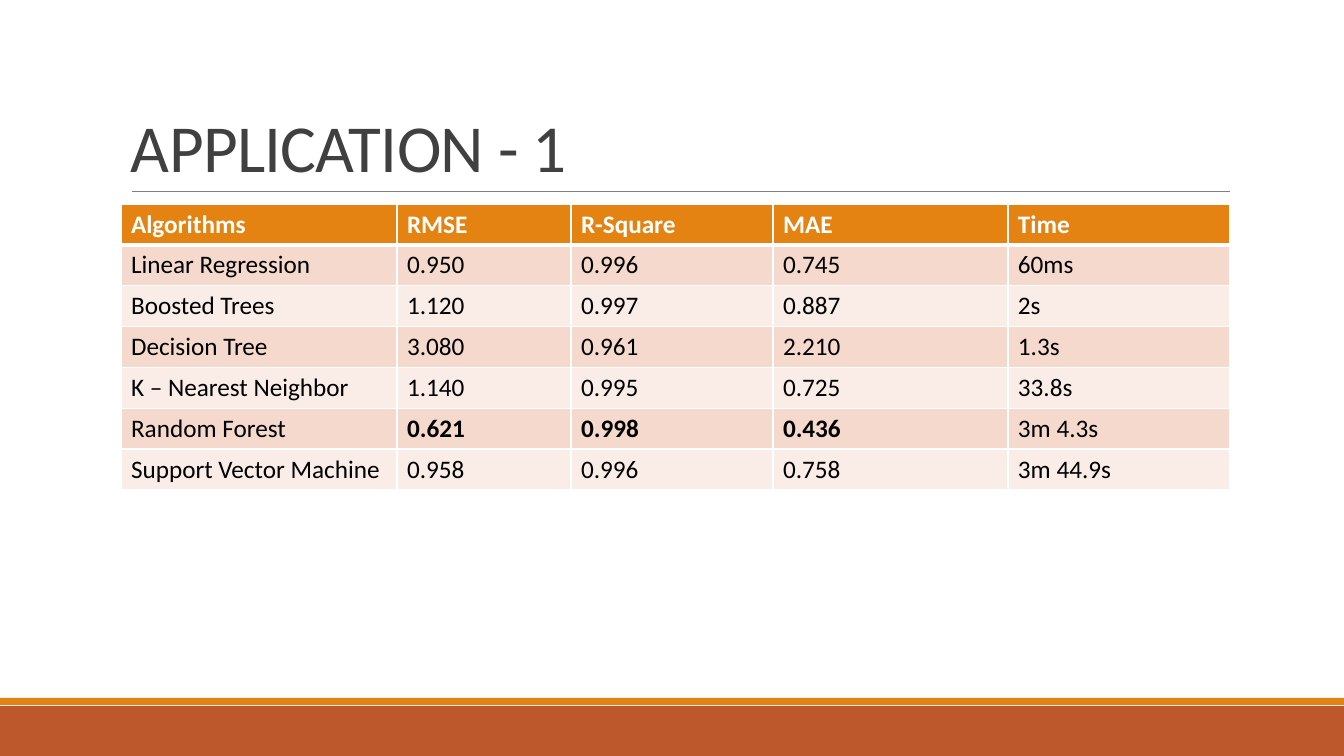
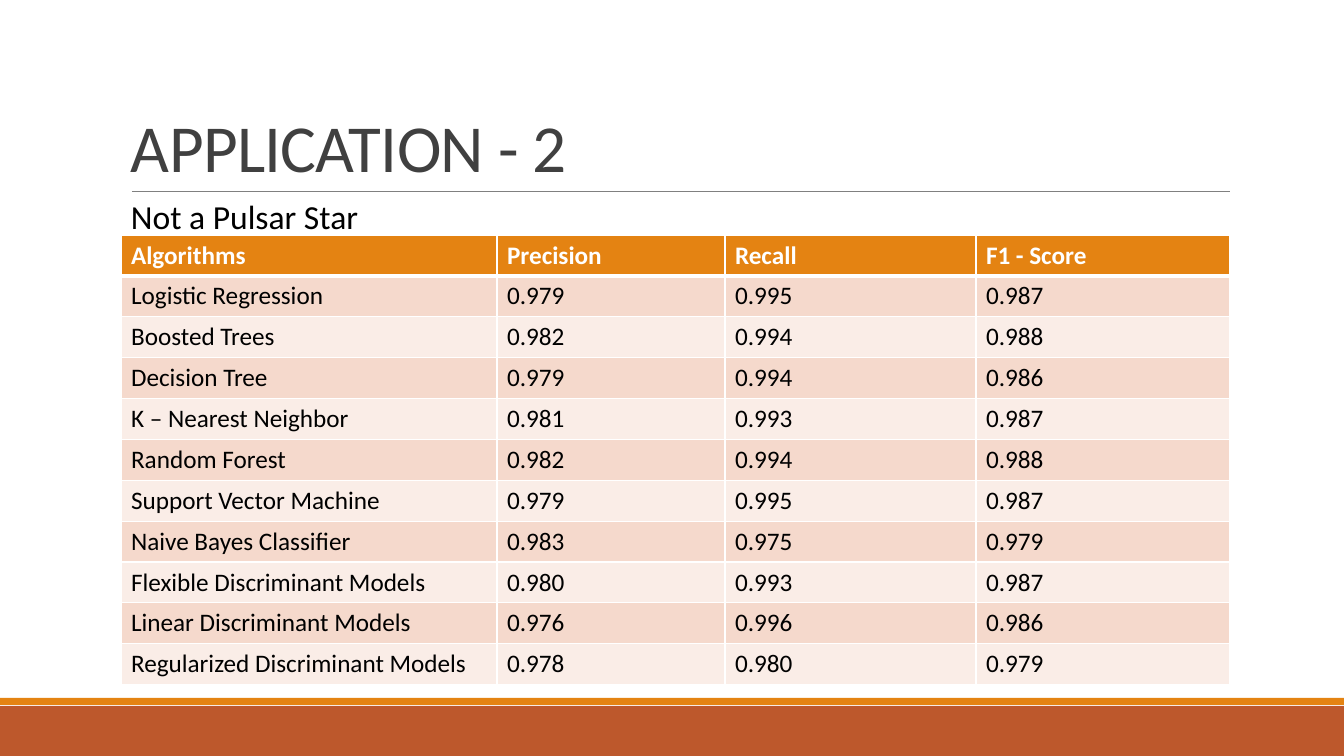
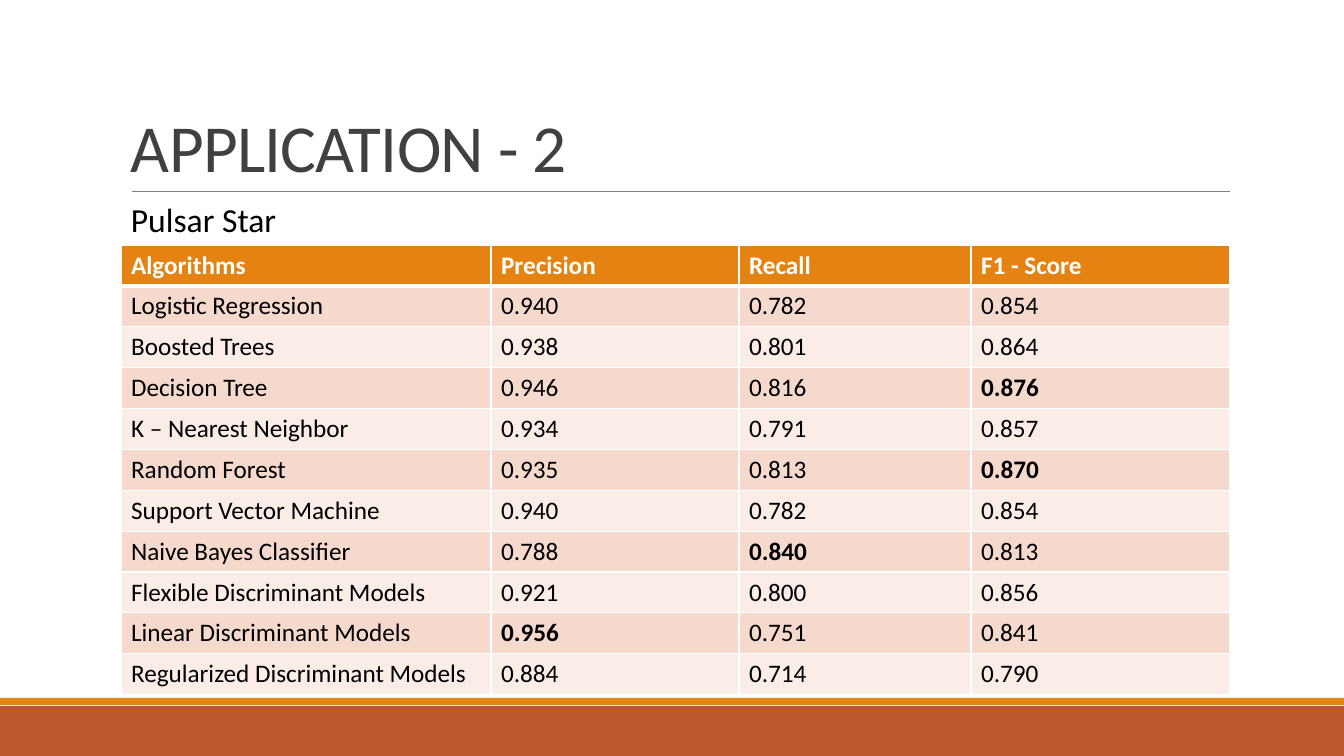
from lxml import etree
from pptx import Presentation
from pptx import util as u
from pptx.dml.color import RGBColor
from pptx.enum import shapes, text
from pptx.oxml.ns import qn

SCALE = 914400 / 100.8
FONT = "Calibri"
COLORS = {
    "bar": "BD582C", "accent": "E48312", "rule": "808080", "title": "404040",
    "black": "000000", "white": "FFFFFF", "odd": "F5D9CC", "even": "FAEDE7",
}
LEFT, WIDTH = 121, 1109

SCORES = ("Algorithms", "Precision", "Recall", "F1 - Score")
SLIDES = [
    {
        "title": "APPLICATION - 1", "top": 204, "height": 286,
        "cols": (276, 174, 202, 235, 222),
        "bold": {"0.621", "0.998", "0.436"},
        "rows": [
            ("Algorithms", "RMSE", "R-Square", "MAE", "Time"),
            ("Linear Regression", "0.950", "0.996", "0.745", "60ms"),
            ("Boosted Trees", "1.120", "0.997", "0.887", "2s"),
            ("Decision Tree", "3.080", "0.961", "2.210", "1.3s"),
            ("K – Nearest Neighbor", "1.140", "0.995", "0.725", "33.8s"),
            ("Random Forest", "0.621", "0.998", "0.436", "3m 4.3s"),
            ("Support Vector Machine", "0.958", "0.996", "0.758", "3m 44.9s"),
        ],
    },
    {
        "title": "APPLICATION - 2", "top": 235, "height": 450,
        "subtitle": ("Not a Pulsar Star", 191, 250),
        "cols": (376, 228, 251, 254),
        "bold": set(),
        "rows": [
            SCORES,
            ("Logistic Regression", "0.979", "0.995", "0.987"),
            ("Boosted Trees", "0.982", "0.994", "0.988"),
            ("Decision Tree", "0.979", "0.994", "0.986"),
            ("K – Nearest Neighbor", "0.981", "0.993", "0.987"),
            ("Random Forest", "0.982", "0.994", "0.988"),
            ("Support Vector Machine", "0.979", "0.995", "0.987"),
            ("Naive Bayes Classifier", "0.983", "0.975", "0.979"),
            ("Flexible Discriminant Models", "0.980", "0.993", "0.987"),
            ("Linear Discriminant Models", "0.976", "0.996", "0.986"),
            ("Regularized Discriminant Models", "0.978", "0.980", "0.979"),
        ],
    },
    {
        "title": "APPLICATION - 2", "top": 245, "height": 450,
        "subtitle": ("Pulsar Star", 194, 167),
        "cols": (370, 248, 232, 259),
        "bold": {"0.876", "0.870", "0.840", "0.956"},
        "rows": [
            SCORES,
            ("Logistic Regression", "0.940", "0.782", "0.854"),
            ("Boosted Trees", "0.938", "0.801", "0.864"),
            ("Decision Tree", "0.946", "0.816", "0.876"),
            ("K – Nearest Neighbor", "0.934", "0.791", "0.857"),
            ("Random Forest", "0.935", "0.813", "0.870"),
            ("Support Vector Machine", "0.940", "0.782", "0.854"),
            ("Naive Bayes Classifier", "0.788", "0.840", "0.813"),
            ("Flexible Discriminant Models", "0.921", "0.800", "0.856"),
            ("Linear Discriminant Models", "0.956", "0.751", "0.841"),
            ("Regularized Discriminant Models", "0.884", "0.714", "0.790"),
        ],
    },
]


def px(*lengths):
    """Turn px lengths into a list of EMU."""
    return [u.Emu(round(n * SCALE)) for n in lengths]


def write(tf, words, size, color, bold=False):
    """Put one paragraph into a text frame and return it."""
    p = tf.paragraphs[0]
    p.add_run().text = words
    p.font.name, p.font.size, p.font.bold = FONT, u.Pt(size), bold
    p.font.color.rgb = RGBColor.from_string(COLORS[color])
    return p


prs = Presentation()
prs.slide_width, prs.slide_height = px(1344, 756)

for page in SLIDES:
    s = prs.slides.add_slide(prs.slide_layouts[6])

    # Footer bands and title rule
    for top, height, color in ((706, 50, "bar"), (698, 7, "accent")):
        sp = s.shapes.add_shape(shapes.MSO_SHAPE.RECTANGLE, *px(0, top, 1344, height))
        sp.shadow.inherit = False
        sp.fill.solid()
        sp.fill.fore_color.rgb = RGBColor.from_string(COLORS[color])
        sp.line.fill.background()
    rule = s.shapes.add_connector(shapes.MSO_CONNECTOR.STRAIGHT, *px(132, 191, 1230, 191))
    rule.line.color.rgb = RGBColor.from_string(COLORS["rule"])
    rule.line.width = u.Pt(0.5)
    etree.SubElement(rule.element.spPr, qn("a:effectLst"))

    # Title
    tf = s.shapes.add_textbox(*px(LEFT, 31, WIDTH, 160)).text_frame
    tf.word_wrap = True
    tf.vertical_anchor = text.MSO_ANCHOR.BOTTOM
    p = write(tf, page["title"], 48, "title")
    p.line_spacing = 0.85
    p.runs[0].font.size = u.Pt(48)
    p.runs[0].font._element.set("spc", "-50")

    # Table
    rows, cols = page["rows"], page["cols"]
    table = s.shapes.add_table(
        len(rows), len(cols), *px(LEFT, page["top"], WIDTH, page["height"])).table
    for column, width in zip(table.columns, px(*cols)):
        column.width = width
    for i, row in enumerate(rows):
        fill = "accent" if i == 0 else "odd" if i % 2 else "even"
        for j, words in enumerate(row):
            cell = table.cell(i, j)
            write(cell.text_frame, words, 18, "black" if i else "white",
                  i == 0 or words in page["bold"])
            tc_pr = cell._tc.get_or_add_tcPr()
            for side in "LRTB":
                thick = (i, side) in ((0, "B"), (1, "T"))
                ln = etree.SubElement(tc_pr, qn("a:ln" + side), w=str(u.Pt(3 if thick else 1)))
                solid = etree.SubElement(ln, qn("a:solidFill"))
                etree.SubElement(solid, qn("a:srgbClr"), val=COLORS["white"])
            cell.fill.solid()
            cell.fill.fore_color.rgb = RGBColor.from_string(COLORS[fill])

    # Subtitle above the table
    if "subtitle" in page:
        words, top, width = page["subtitle"]
        tf = s.shapes.add_textbox(*px(LEFT, top, width, 50)).text_frame
        tf.word_wrap = False
        tf.auto_size = text.MSO_AUTO_SIZE.SHAPE_TO_FIT_TEXT
        write(tf, words, 24, "black")

prs.save("out.pptx")
